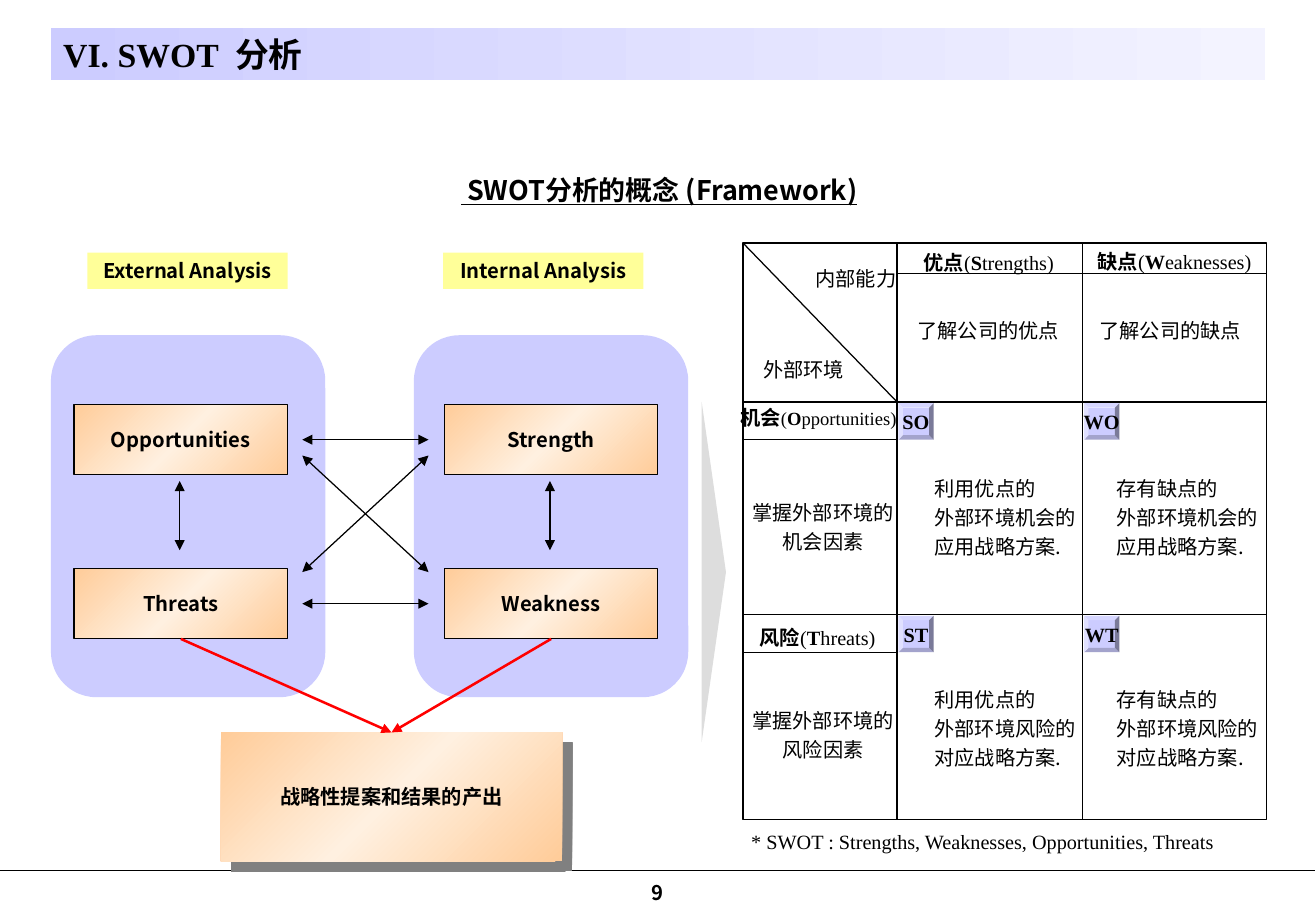
"""Build the SWOT analysis framework slide."""
from dataclasses import dataclass

from lxml import etree
from pptx import Presentation
from pptx.dml.color import RGBColor
from pptx.enum.shapes import MSO_CONNECTOR, MSO_SHAPE
from pptx.enum.text import MSO_ANCHOR, MSO_AUTO_SIZE, PP_ALIGN
from pptx.oxml.ns import qn
from pptx.util import Emu, Pt

PX = 9144
SLACK = 6
STRAIGHT = MSO_CONNECTOR.STRAIGHT
RECT, ROUNDED = MSO_SHAPE.RECTANGLE, MSO_SHAPE.ROUNDED_RECTANGLE
BEVEL, TRIANGLE = MSO_SHAPE.BEVEL, MSO_SHAPE.ISOSCELES_TRIANGLE
LEFT, CENTER = PP_ALIGN.LEFT, PP_ALIGN.CENTER
TOP, MIDDLE, BOTTOM = MSO_ANCHOR.TOP, MSO_ANCHOR.MIDDLE, MSO_ANCHOR.BOTTOM
GROW, FIXED = MSO_AUTO_SIZE.SHAPE_TO_FIT_TEXT, MSO_AUTO_SIZE.NONE
BOTTOM_SITE, TOP_SITE = 2, 0


@dataclass(frozen=True)
class Theme:
    """Colours, fonts and type sizes of the slide."""
    ink: str = "000000"
    lilac: str = "CCCCFF"
    yellow: str = "FFFF99"
    grey: str = "DDDDDD"
    shade: str = "808080"
    red: str = "FF0000"
    bar: tuple = ((0, "CCCCFF"), (100, "F3F3FF"))
    peach: tuple = ((0, "FFCC99"), (50, "FFF0E0"), (100, "FFCC99"))
    sans: str = "Noto Sans CJK KR"
    serif: str = "Times New Roman"
    title: int = 20
    heading: int = 16
    body: int = 12
    small: int = 11
    thin: float = 0.75
    thick: float = 1.5


THEME = Theme()
TITLE = "VI. SWOT  分析"
HEADING = " SWOT分析的概念 (Framework)"
RESULT = "战略性提案和结果的产出"
FOOTNOTE = "* SWOT : Strengths, Weaknesses, Opportunities, Threats"
PAGE_NUMBER = "9"
ANALYSES = [
    ("External Analysis", 72, 42, 61, ("Opportunities", "Threats")),
    ("Internal Analysis", 365, 341, 366, ("Strength", "Weakness")),
]
FACTOR_TOPS = (333, 468)
FACTOR_WIDTH, FACTOR_HEIGHT = 176, 58
RESULT_BOX = (182, 603, 281, 106)
GAP_ARROWS = [(497, 497), (375, 471), (471, 375), (362, 362)]
GAP_LEFT, GAP_RIGHT = 249, 353

COLUMNS = (612, 739, 892, 1043)
ROWS = (200, 331, 506, 675)
MATRIX_LINES = [
    (COLUMNS[0], ROWS[1], COLUMNS[3], ROWS[1]),
    (COLUMNS[0], ROWS[2], COLUMNS[3], ROWS[2]),
    (COLUMNS[1], ROWS[0], COLUMNS[1], ROWS[3]),
    (COLUMNS[2], ROWS[0], COLUMNS[2], ROWS[3]),
    (COLUMNS[0], ROWS[0], COLUMNS[1], ROWS[1]),
    (COLUMNS[1], 225, COLUMNS[3], 225),
    (COLUMNS[0], 362, COLUMNS[1], 362),
    (COLUMNS[0], 537, COLUMNS[1], 537),
]
MATRIX_HEADS = [
    ((749, 201, 131, 30), "优点", "S", "trengths)", THEME.body, CENTER),
    ((892, 200, 151, 30), "缺点", "W", "eaknesses)", THEME.body, CENTER),
    ((600, 329, 152, 30), "机会", "O", "pportunities)", THEME.small, LEFT),
    ((616, 510, 119, 30), "风险", "T", "hreats)", THEME.body, LEFT),
]
AXIS_LABELS = [((662, 214, 86, 30), "内部能力"), ((619, 289, 86, 30), "外部环境")]
MATRIX_NOTES = [
    ((746, 253, 136, 34), CENTER, ["了解公司的优点"]),
    ((896, 253, 136, 34), CENTER, ["了解公司的缺点"]),
    ((610, 403, 136, 58), CENTER, ["掌握外部环境的", "机会因素"]),
    ((610, 574, 136, 58), CENTER, ["掌握外部环境的", "风险因素"]),
    ((760, 383, 136, 82), LEFT, ["利用优点的", "外部环境机会的", "应用战略方案."]),
    ((910, 383, 136, 82), LEFT, ["存有缺点的", "外部环境机会的", "应用战略方案."]),
    ((760, 557, 136, 82), LEFT, ["利用优点的", "外部环境风险的", "对应战略方案."]),
    ((910, 557, 136, 82), LEFT, ["存有缺点的", "外部环境风险的", "对应战略方案."]),
]
BADGES = (("SO", "WO"), ("ST", "WT"))


def rgb(value):
    return RGBColor.from_string(value)


def px(*lengths):
    return [Emu(length * PX) for length in lengths]


def add_box(page, kind, place, fill=None, line=None):
    box = page.shapes.add_shape(kind, *px(*place))
    box.shadow.inherit = False
    if isinstance(fill, str):
        box.fill.solid()
        box.fill.fore_color.rgb = rgb(fill)
    elif fill is None:
        box.fill.background()
    if line:
        box.line.color.rgb = rgb(line)
        box.line.width = Pt(THEME.thin)
    else:
        box.line.fill.background()
    return box


def add_gradient(box, stops, angle):
    box.fill.gradient()
    box.fill.gradient_angle = (360 - angle) % 360
    stop_list = box._element.spPr.find(qn("a:gradFill")).find(qn("a:gsLst"))
    for old in list(stop_list):
        stop_list.remove(old)
    for position, color in stops:
        stop = etree.SubElement(stop_list, qn("a:gs"), pos=str(position * 1000))
        etree.SubElement(stop, qn("a:srgbClr"), val=color)


def add_line(page, ends, color=THEME.ink, width=THEME.thin, heads=()):
    line = page.shapes.add_connector(STRAIGHT, *px(*ends))
    line.line.color.rgb = rgb(color)
    line.line.width = Pt(width)
    for head in heads:
        etree.SubElement(line.line._get_or_add_ln(), qn(head), type="triangle")
    etree.SubElement(line._element.spPr, qn("a:effectLst"))
    return line


def write(box, paras, size=THEME.body, font=THEME.sans, align=CENTER, anchor=TOP,
          insets=(10, 5), wrap=False, fit=GROW, spacing=None, before=None, underline=None):
    """Write paragraphs, each a list of (text, bold, size or None) runs."""
    frame = box.text_frame
    frame.word_wrap, frame.auto_size = wrap, fit
    frame.vertical_anchor = anchor
    frame.margin_left = frame.margin_right = Emu(insets[0] * PX)
    frame.margin_top = frame.margin_bottom = Emu(insets[1] * PX)
    for index, runs in enumerate(paras):
        para = frame.add_paragraph() if index else frame.paragraphs[0]
        para.alignment, para.line_spacing = align, spacing
        para.space_before = Pt(before or 0)
        for text, bold, own_size in runs:
            span = para.add_run()
            span.text = text
            span.font.name, span.font.size = font, Pt(own_size or size)
            span.font.bold, span.font.underline = bold, underline
            span.font.color.rgb = rgb(THEME.ink)
            etree.SubElement(span._r.get_or_add_rPr(), qn("a:ea"), typeface=THEME.sans)


def add_text(page, place, paras, align=CENTER, **style):
    """Add a text box with slack in its width so that no line breaks."""
    left, top, width, height = place
    shift = SLACK // 2 if align == CENTER else 0
    box = page.shapes.add_textbox(*px(left - shift, top, width + SLACK, height))
    write(box, paras, align=align, **style)


def add_peach_box(page, place, text, line=None):
    box = add_box(page, RECT, place, THEME.peach, line)
    add_gradient(box, THEME.peach, 45)
    write(box, [[(text, True, None)]], anchor=MIDDLE, fit=FIXED, before=7.5)
    return box


def build_frame(page):
    add_text(page, (519, 725, 45, 25), [[(PAGE_NUMBER, True, None)]], anchor=BOTTOM, fit=FIXED, wrap=True)
    add_line(page, (0, 717, 1083, 717))
    bar = add_box(page, RECT, (42, 23, 1000, 43), THEME.bar)
    add_gradient(bar, THEME.bar, 0)
    title = page.shapes.title
    page.shapes._spTree.append(title._element)
    title.left, title.top, title.width, title.height = px(42, 23, 224 + SLACK, 44)
    write(title, [[(TITLE, True, None)]], size=THEME.title, font=THEME.serif, align=LEFT)
    add_text(page, (360, 138, 366, 37), [[(HEADING, True, None)]], size=THEME.heading, underline=True)


def build_analyses(page):
    sources = []
    for label, label_left, panel_left, factor_left, factors in ANALYSES:
        panel = add_box(page, ROUNDED, (panel_left, 276, 226, 298), THEME.lilac)
        panel.adjustments[0] = 0.165
        for name, top in zip(factors, FACTOR_TOPS):
            place = (factor_left, top, FACTOR_WIDTH, FACTOR_HEIGHT)
            factor = add_peach_box(page, place, name, THEME.ink)
        sources.append(factor)
        middle = factor_left + FACTOR_WIDTH // 2 - 1
        add_line(page, (middle, 396, middle, 453), heads=("a:headEnd", "a:tailEnd"))
        tag = add_box(page, RECT, (label_left, 208, 165, 30), THEME.yellow)
        write(tag, [[(label, True, None)]], wrap=True, before=7.5)
    for start, end in GAP_ARROWS:
        add_line(page, (GAP_LEFT, start, GAP_RIGHT, end), heads=("a:headEnd", "a:tailEnd"))
    result = add_peach_box(page, RESULT_BOX, RESULT)
    effects = result._element.spPr.find(qn("a:effectLst"))
    shadow = etree.SubElement(effects, qn("a:outerShdw"), blurRad="0", dist=str(Pt(8.5)),
                              dir="2700000", algn="tl", rotWithShape="0")
    etree.SubElement(shadow, qn("a:srgbClr"), val=THEME.shade)
    for source in sources:
        arrow = add_line(page, (0, 0, 1, 1), THEME.red, THEME.thick, ("a:tailEnd",))
        arrow.begin_connect(source, BOTTOM_SITE)
        arrow.end_connect(result, TOP_SITE)
    pointer = add_box(page, TRIANGLE, (448, 461, 280, 20), THEME.grey)
    pointer.rotation = 90


def build_matrix(page):
    add_box(page, RECT, (COLUMNS[0], ROWS[0], COLUMNS[3] - COLUMNS[0], ROWS[3] - ROWS[0]), line=THEME.ink)
    for ends in MATRIX_LINES:
        add_line(page, ends)
    for place, name, initial, rest, size, align in MATRIX_HEADS:
        runs = [(name, True, None), ("(", False, size), (initial, True, size), (rest, False, size)]
        add_text(page, place, [runs], font=THEME.serif, align=align, anchor=MIDDLE)
    for place, text in AXIS_LABELS:
        add_text(page, place, [[(text, False, None)]], font=THEME.serif, anchor=MIDDLE)
    for top, names in zip(ROWS[1:], BADGES):
        for left, name in zip(COLUMNS[1:], names):
            badge = add_box(page, BEVEL, (left + 1, top + 1, 29, 30), THEME.lilac)
            write(badge, [[(name, True, None)]], font=THEME.serif, anchor=MIDDLE, insets=(2, 0), fit=FIXED)
    for place, align, lines in MATRIX_NOTES:
        add_text(page, place, [[(line, False, None)] for line in lines], align=align, spacing=1.2)
    add_text(page, (609, 678, 408, 30), [[(FOOTNOTE, False, None)]], font=THEME.serif, align=LEFT)


def main():
    deck = Presentation()
    deck.slide_width, deck.slide_height = px(1084, 750)
    page = deck.slides.add_slide(deck.slide_layouts[5])
    build_frame(page)
    build_analyses(page)
    build_matrix(page)
    deck.save("out.pptx")


if __name__ == "__main__":
    main()
